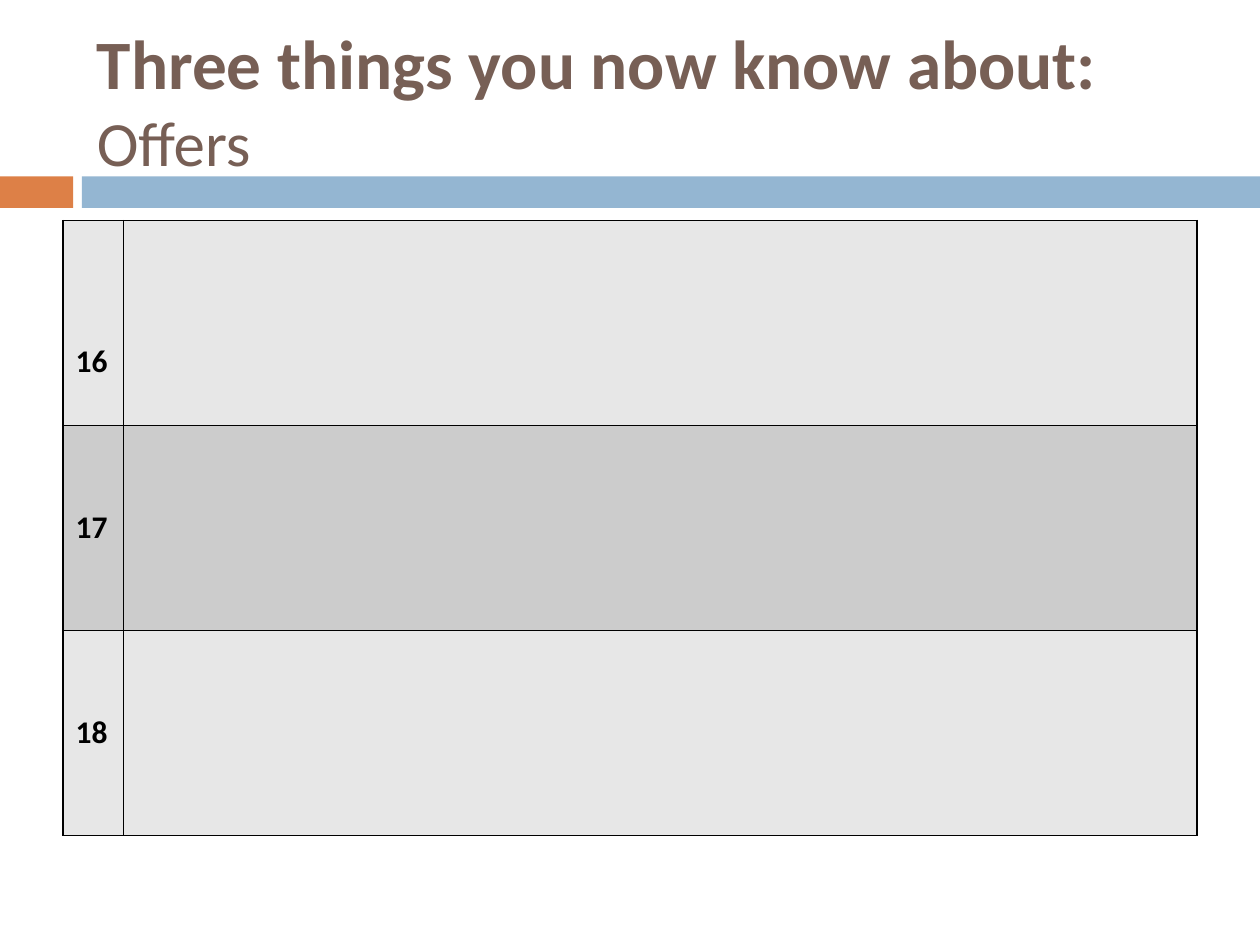
from dataclasses import dataclass

from lxml import etree
from pptx import Presentation
from pptx.dml.color import RGBColor
from pptx.enum.shapes import MSO_SHAPE
from pptx.enum.text import MSO_ANCHOR
from pptx.oxml.ns import qn
from pptx.util import Inches, Pt

RECT = MSO_SHAPE.RECTANGLE
MIDDLE = MSO_ANCHOR.MIDDLE
COLS, ROWS = 100, 75


@dataclass(frozen=True)
class Theme:
    font: str = "Calibri"
    title: str = "775F55"
    ink: str = "000000"
    warm: str = "DD8047"
    cool: str = "94B6D2"
    bands: tuple = ("E7E7E7", "CCCCCC")
    head: float = 39.6
    sub: float = 36
    body: float = 18
    line: float = 1


class Deck:
    def __init__(self, theme):
        self.theme = theme
        self.prs = Presentation()
        self.prs.slide_width = Inches(10)
        self.prs.slide_height = Inches(7.5)
        self.slide = self.prs.slides.add_slide(self.prs.slide_layouts[6])

    def wide(self, cols):
        return round(self.prs.slide_width * cols / COLS)

    def high(self, rows):
        return round(self.prs.slide_height * rows / ROWS)

    def place(self, left, top, width, height):
        return self.wide(left), self.high(top), self.wide(width), self.high(height)

    def style(self, run, size, color, bold):
        font = run.font
        font.name, font.size, font.bold = self.theme.font, Pt(size), bold
        font.color.rgb = RGBColor.from_string(color)

    def bar(self, box, color):
        shape = self.slide.shapes.add_shape(RECT, *self.place(*box))
        shape.shadow.inherit = False
        shape.fill.solid()
        shape.fill.fore_color.rgb = RGBColor.from_string(color)
        shape.line.fill.background()

    def title(self, box, head, sub):
        frame = self.slide.shapes.add_textbox(*self.place(*box)).text_frame
        frame.word_wrap = True
        frame.vertical_anchor = MIDDLE
        frame.text = f"{head}\v{sub}"
        first, last = frame.paragraphs[0].runs
        self.style(first, self.theme.head, self.theme.title, True)
        self.style(last, self.theme.sub, self.theme.title, False)

    def border(self, cell):
        props = cell._tc.get_or_add_tcPr()
        for side in ("lnL", "lnR", "lnT", "lnB"):
            line = etree.SubElement(props, qn(f"a:{side}"), w=str(Pt(self.theme.line)))
            fill = etree.SubElement(line, qn("a:solidFill"))
            etree.SubElement(fill, qn("a:srgbClr"), val=self.theme.ink)

    def table(self, box, widths, labels):
        place = self.place(*box)
        grid = self.slide.shapes.add_table(len(labels), len(widths), *place).table
        for col, width in zip(grid.columns, widths):
            col.width = self.wide(width)
        for i, label in enumerate(labels):
            for cell in grid.rows[i].cells:
                self.border(cell)
                cell.fill.solid()
                band = self.theme.bands[i % len(self.theme.bands)]
                cell.fill.fore_color.rgb = RGBColor.from_string(band)
                cell.vertical_anchor = MIDDLE
            cell = grid.cell(i, 0)
            cell.text = label
            self.style(cell.text_frame.paragraphs[0].runs[0],
                       self.theme.body, self.theme.ink, True)
        return grid


def main():
    theme = Theme()
    deck = Deck(theme)
    deck.bar((0, 14, 5.8, 2.5), theme.warm)
    deck.bar((6.5, 14, 93.5, 2.5), theme.cool)
    deck.title((6.7, 2.5, 89.2, 10.8), "Three things you now know about:", "Offers")
    grid = deck.table((5, 17.5, 90, 48.8), (4.8, 85.2), ("16", "17", "18"))
    grid.cell(0, 0).margin_top = deck.high(6.7)
    deck.prs.save("out.pptx")


if __name__ == "__main__":
    main()
